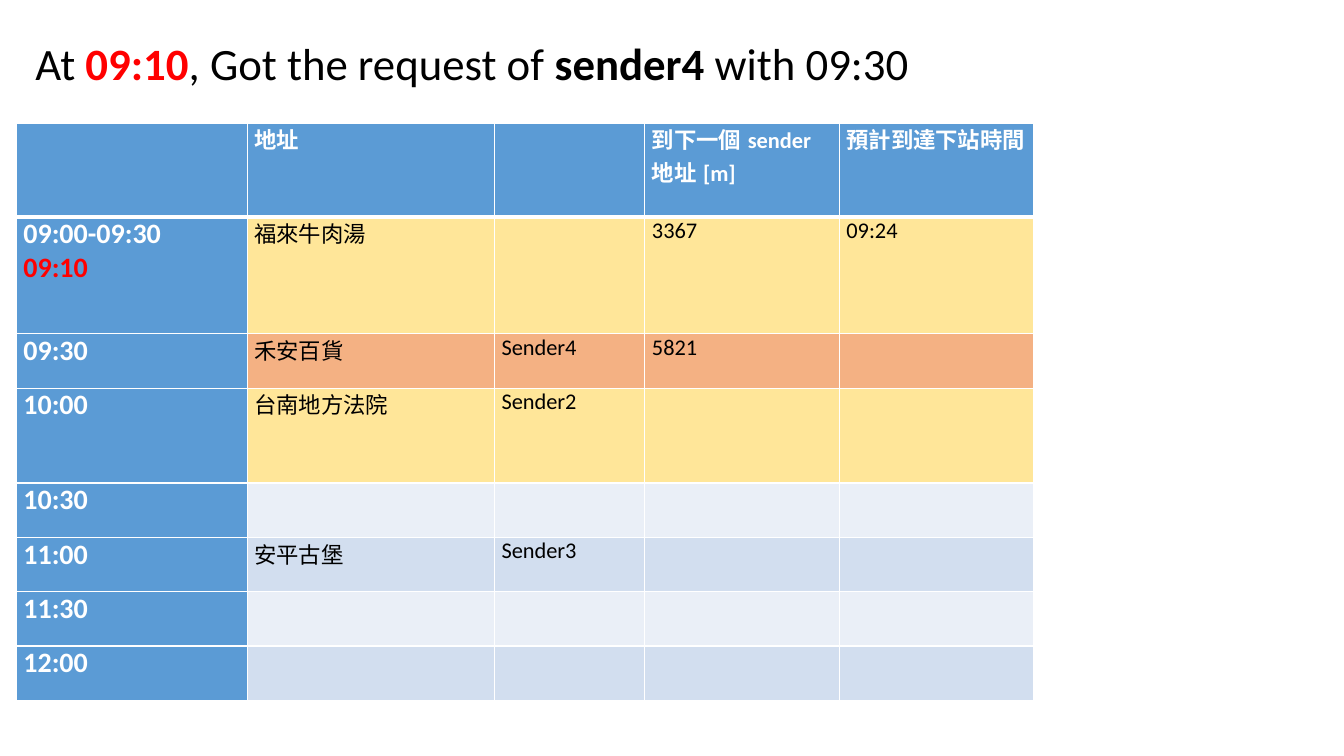
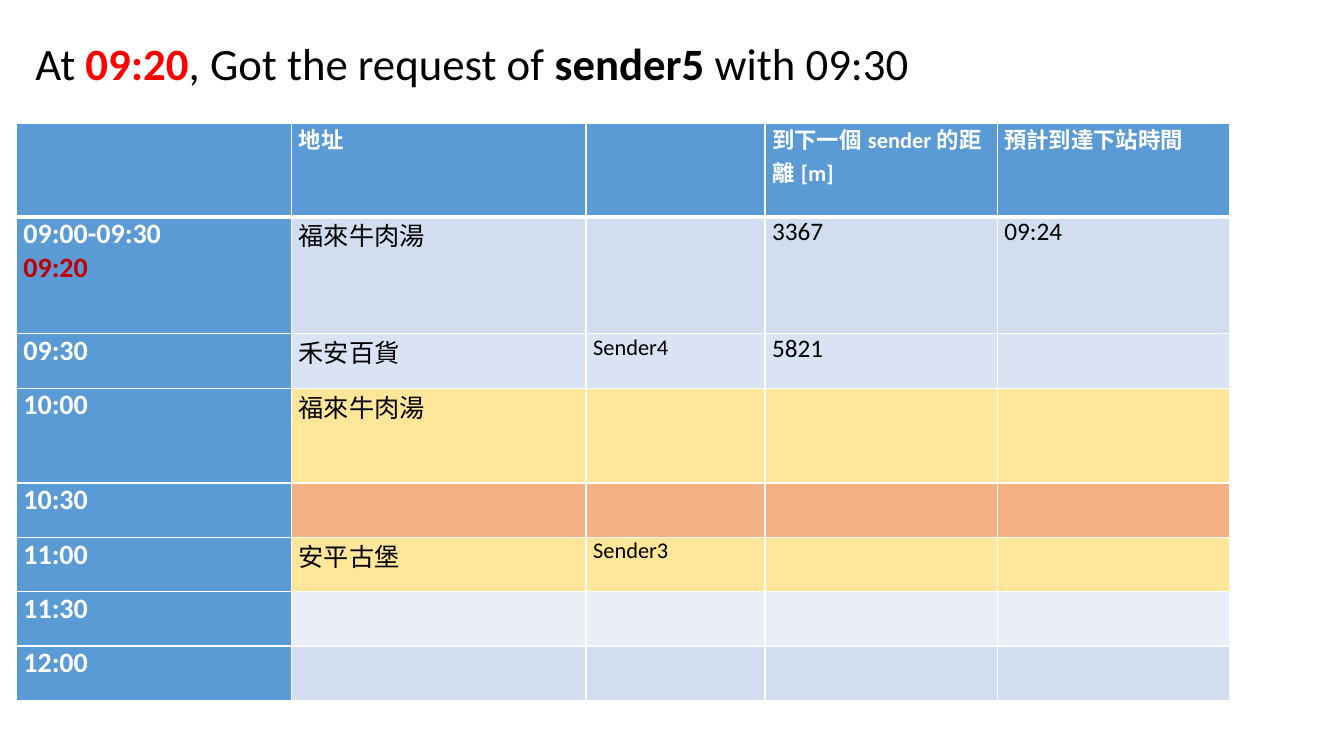
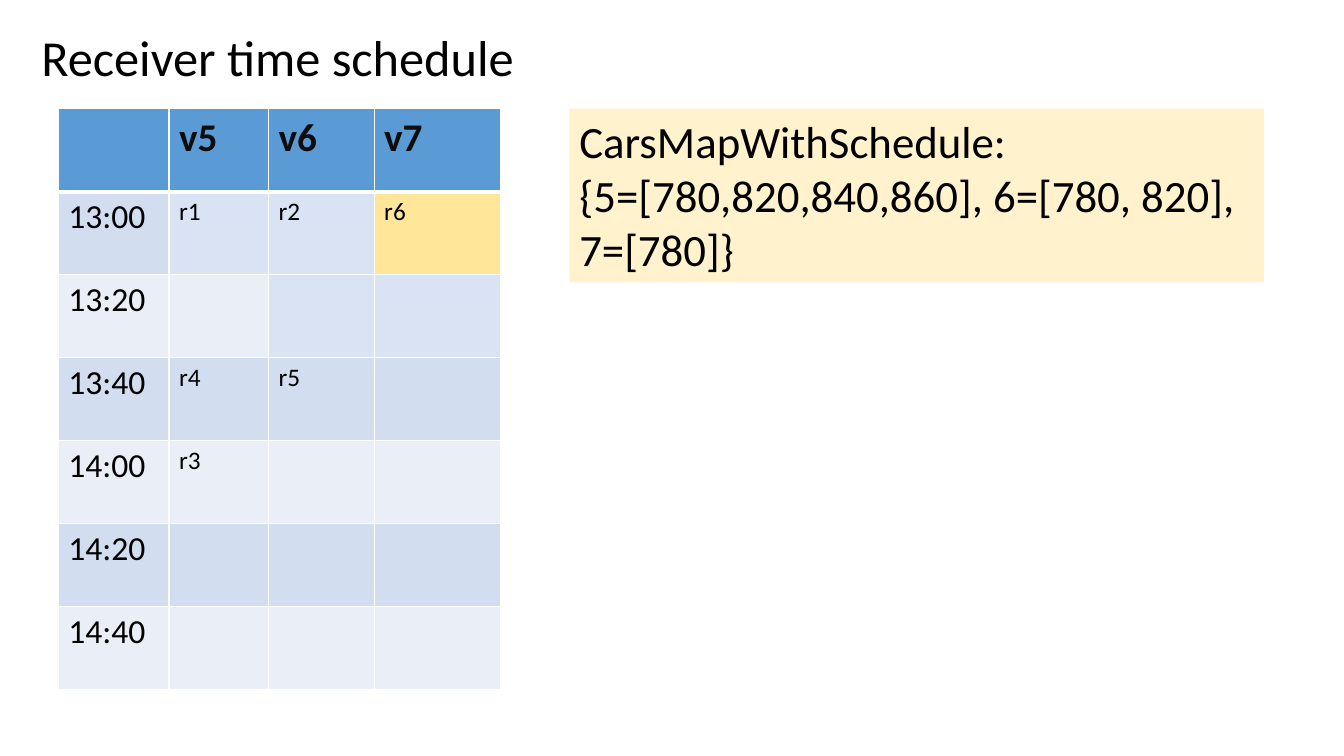
import pptx
import pptx.dml.color
import pptx.enum.shapes
import pptx.enum.text
import pptx.oxml
import pptx.oxml.ns
import pptx.util

Cm = pptx.util.Cm
FONT = "Calibri"
COLORS = {
    "white": "FFFFFF",
    "black": "000000",
    "ink": "0D0D0D",
    "red": "FF0000",
    "dark_red": "C00000",
    "blue": "5B9BD5",
    "band_odd": "D2DEEF",
    "band_even": "EAEFF7",
    "pale_blue": "DAE3F3",
    "yellow": "FFE699",
    "orange": "F4B183",
    "cream": "FFF2CC",
}
TIMES = ["09:30", "10:00", "10:30", "11:00", "11:30", "12:00"]
REQUEST_TITLE_BOX = (0.64, 0.36, 29.21, 2.44)
STOP_COLUMNS = [2.29, 2.45, 1.49, 1.93, 1.93]
STOP_ROWS = [2.36, 2.95, 1.37, 2.39] + [1.37] * 4


def rgb(name):
    return pptx.dml.color.RGBColor.from_string(COLORS[name])


def paint(fill, color):
    fill.solid()
    fill.fore_color.rgb = rgb(color)


def add_span(para, text, size=18, color="black", bold=False):
    """Append one formatted span of text to a paragraph."""
    span = para.add_run()
    span.text = text
    span.font.name = FONT
    span.font.size = pptx.util.Pt(size)
    span.font.bold = bold
    span.font.color.rgb = rgb(color)


def add_lines(frame, lines, **style):
    """Write each line as a paragraph; a line is text or (text, overrides)."""
    for index, line in enumerate(lines):
        para = frame.paragraphs[0] if index == 0 else frame.add_paragraph()
        text, overrides = (line, {}) if isinstance(line, str) else line
        add_span(para, text, **{**style, **overrides})


def add_title(page, box, spans, size, anchor):
    """Place the title placeholder; spans are (text, overrides)."""
    title = page.shapes.title
    title.left, title.top, title.width, title.height = map(Cm, box)
    frame = title.text_frame
    frame.auto_size = pptx.enum.text.MSO_AUTO_SIZE.NONE
    frame.word_wrap = True
    frame.vertical_anchor = anchor
    para = frame.paragraphs[0]
    para.alignment = pptx.enum.text.PP_ALIGN.LEFT
    for text, overrides in spans:
        add_span(para, text, **{"size": size, **overrides})


# Tables
def add_borders(cell, row):
    """White rules, with a heavier one under the header row."""
    properties = cell._tc.get_or_add_tcPr()
    heavy = {(0, "B"), (1, "T")}
    for side in "LRTB":
        width = pptx.util.Pt(3 if (row, side) in heavy else 1)
        properties.append(pptx.oxml.parse_xml(
            f'<a:ln{side} {pptx.oxml.ns.nsdecls("a")} w="{width}"><a:solidFill>'
            f'<a:srgbClr val="{COLORS["white"]}"/></a:solidFill></a:ln{side}>'))


def add_grid(page, box, column_shares, row_shares, margins=None):
    """Add a bordered table with header and banded fills, sized by shares."""
    left, top, width, height = box
    table = page.shapes.add_table(
        len(row_shares), len(column_shares), *map(Cm, box)).table
    for column, share in zip(table.columns, column_shares):
        column.width = Cm(round(width * share / sum(column_shares), 2))
    for row, share in zip(table.rows, row_shares):
        row.height = Cm(round(height * share / sum(row_shares), 2))
    for row_index, row in enumerate(table.rows):
        band = "band_odd" if row_index % 2 else "band_even"
        for cell in row.cells:
            add_borders(cell, row_index)
            paint(cell.fill, "blue" if row_index == 0 else band)
            if margins:
                cell.margin_left = cell.margin_right = Cm(margins[0])
                cell.margin_top = cell.margin_bottom = Cm(margins[1])
    return table


def add_stop_table(page, box, distance_header, first_time, stops, fills, sizes):
    """Timetable of stops: stops and fills are keyed by row number."""
    table = add_grid(page, box, STOP_COLUMNS, STOP_ROWS, margins=(0.18, 0))
    headers = ["", "地址", "", distance_header, "預計到達下站時間"]
    for column, text in enumerate(headers):
        if text:
            add_lines(table.cell(0, column).text_frame, [text],
                      size=16, color="white", bold=True)
    for row, time in enumerate([first_time] + TIMES, start=1):
        time_cell = table.cell(row, 0)
        paint(time_cell.fill, "blue")
        lines = time if isinstance(time, list) else [time]
        add_lines(time_cell.text_frame, lines, size=20, color="white", bold=True)
        for column in range(1, len(STOP_COLUMNS)):
            cell = table.cell(row, column)
            if row in fills:
                paint(cell.fill, fills[row])
            text = stops.get(row, {}).get(column)
            if text:
                add_lines(cell.text_frame, [text], size=sizes[column - 1])


def add_receiver_table(page, box):
    """Receivers by vehicle and time."""
    table = add_grid(page, box, [1.1, 0.99, 1.05, 1.26], [1] * 7)
    rows = [
        ["", "v5", "v6", "v7"],
        ["13:00", "r1", "r2", "r6"],
        ["13:20"],
        ["13:40", "r4", "r5"],
        ["14:00", "r3"],
        ["14:20"],
        ["14:40"],
    ]
    fills = {(1, 1): "pale_blue", (1, 2): "pale_blue", (1, 3): "yellow",
             (2, 2): "pale_blue", (2, 3): "pale_blue"}
    for row, texts in enumerate(rows):
        for column, text in enumerate(texts):
            if row == 0:
                style = {"size": 28, "color": "ink", "bold": True}
            else:
                style = {"size": 18 if column else 24}
            if text:
                add_lines(table.cell(row, column).text_frame, [text], **style)
    for position, color in fills.items():
        paint(table.cell(*position).fill, color)


def add_schedule_box(page, box, lines):
    """Filled box holding the schedule map."""
    panel = page.shapes.add_shape(
        pptx.enum.shapes.MSO_SHAPE.RECTANGLE, *map(Cm, box))
    panel.shadow.inherit = False
    paint(panel.fill, "cream")
    panel.line.fill.background()
    frame = panel.text_frame
    frame.word_wrap = True
    frame.vertical_anchor = pptx.enum.text.MSO_ANCHOR.TOP
    add_lines(frame, lines, size=32)
    for para in frame.paragraphs:
        para.alignment = pptx.enum.text.PP_ALIGN.LEFT


# Slides
def add_page(deck):
    return deck.slides.add_slide(deck.slide_layouts.get_by_name("Title Only"))


def build_request_page(deck, time, sender, time_color, table_width, **content):
    page = add_page(deck)
    spans = [("At ", {}), (time, {"color": "red", "bold": True}),
             (", Got the request of ", {}), (f"{sender} ", {"bold": True}),
             ("with 09:30", {})]
    add_title(page, REQUEST_TITLE_BOX, spans, 32,
              pptx.enum.text.MSO_ANCHOR.MIDDLE)
    first_time = ["09:00-09:30", (time, {"color": time_color})]
    add_stop_table(page, (0.41, 3.1, table_width, 14.55),
                   first_time=first_time, **content)


def build_receiver_page(deck):
    page = add_page(deck)
    add_title(page, (0.79, 0.53, 12.55, 1.8), [("Receiver time schedule", {})],
              36, pptx.enum.text.MSO_ANCHOR.TOP)
    add_receiver_table(page, (1.47, 2.74, 11.15, 14.63))
    add_schedule_box(page, (14.35, 2.74, 17.5, 4.37), [
        "CarsMapWithSchedule:",
        "{5=[780,820,840,860], 6=[780, 820],",
        "7=[780]}",
    ])


def main():
    deck = pptx.Presentation()
    deck.slide_width, deck.slide_height = Cm(33.87), Cm(19.05)
    shared_stops = {
        1: {1: "福來牛肉湯", 3: "3367", 4: "09:24"},
        2: {1: "禾安百貨", 2: "Sender4", 3: "5821"},
        5: {1: "安平古堡", 2: "Sender3"},
    }
    build_request_page(
        deck, "09:10", "sender4", "red", 25.64,
        distance_header="到下一個sender地址[m]",
        stops={**shared_stops, 3: {1: "台南地方法院", 2: "Sender2"}},
        fills={1: "yellow", 2: "orange", 3: "yellow"},
        sizes=[16, 16, 16, 16])
    build_request_page(
        deck, "09:20", "sender5", "dark_red", 30.56,
        distance_header="到下一個sender的距離[m]",
        stops={**shared_stops, 3: {1: "福來牛肉湯"}},
        fills={2: "pale_blue", 3: "yellow", 4: "orange", 5: "yellow"},
        sizes=[18, 16, 18, 18])
    build_receiver_page(deck)
    deck.save("out.pptx")


if __name__ == "__main__":
    main()
